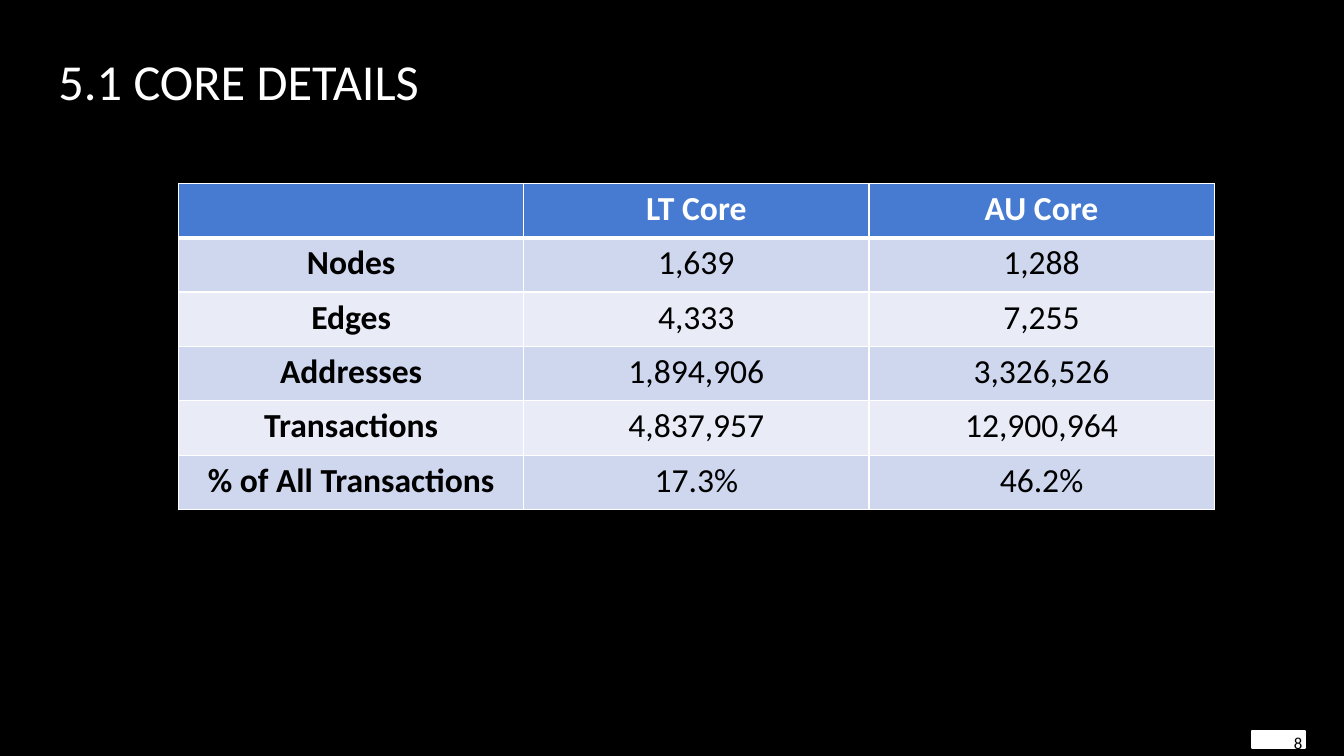
from lxml.etree import SubElement
from pptx import Presentation
from pptx.dml.color import RGBColor
from pptx.enum.shapes import MSO_SHAPE as Shape
from pptx.enum.text import MSO_ANCHOR as Anchor, PP_ALIGN as Align
from pptx.oxml.ns import qn
from pptx.util import Cm, Pt

TITLE = "5.1 CORE DETAILS"
PAGE_NUMBER = "8"
CORE_ROWS = [
    ("", "LT Core", "AU Core"),
    ("Nodes", "1,639", "1,288"),
    ("Edges", "4,333", "7,255"),
    ("Addresses", "1,894,906", "3,326,526"),
    ("Transactions", "4,837,957", "12,900,964"),
    ("% of All Transactions", "17.3%", "46.2%"),
]

FONT = "Calibri"
BLACK = RGBColor(0x00, 0x00, 0x00)
WHITE = RGBColor(0xFF, 0xFF, 0xFF)
HEADER_BLUE = RGBColor(0x47, 0x7B, 0xD1)
DARK_BAND = RGBColor(0xCF, 0xD7, 0xEE)
LIGHT_BAND = RGBColor(0xE9, 0xEC, 0xF7)

COLUMN_WIDTH = Cm(8.7)
ROW_HEIGHT = Cm(1.37)


def format_text(text_frame, size, color, align, bold=False):
    for paragraph in text_frame.paragraphs:
        paragraph.alignment = align
        for run in paragraph.runs:
            run.font.name = FONT
            run.font.size = Pt(size)
            run.font.bold = bold
            run.font.color.rgb = color


def set_borders(cell, bottom_width, top_width):
    properties = cell._tc.get_or_add_tcPr()
    widths = {"a:lnL": 1, "a:lnR": 1, "a:lnT": top_width, "a:lnB": bottom_width}
    for position, (tag, width) in enumerate(widths.items()):
        line = SubElement(properties, qn(tag), w=str(Pt(width)))
        fill = SubElement(line, qn("a:solidFill"))
        SubElement(fill, qn("a:srgbClr"), val=str(WHITE))
        properties.insert(position, line)


def add_title(slide):
    title = slide.shapes.title
    title.left, title.top, title.width, title.height = Cm(1.22), Cm(0), Cm(28.14), Cm(4.04)
    title.text_frame.text = TITLE
    title.text_frame.vertical_anchor = Anchor.MIDDLE
    format_text(title.text_frame, 36, WHITE, Align.LEFT)


def add_page_number(slide):
    plate = slide.shapes.add_shape(Shape.RECTANGLE, Cm(31.55), Cm(18.42), Cm(1.35), Cm(0.43))
    plate.shadow.inherit = False
    plate.fill.solid()
    plate.fill.fore_color.rgb = WHITE
    plate.line.color.rgb = WHITE
    plate.line.width = Pt(1.5)

    number = slide.shapes.add_textbox(Cm(31.55), Cm(18.19), Cm(1.52), Cm(1.04))
    number.text_frame.word_wrap = True
    number.text_frame.vertical_anchor = Anchor.MIDDLE
    number.text_frame.text = PAGE_NUMBER
    format_text(number.text_frame, 12, BLACK, Align.RIGHT)


def add_core_table(slide):
    row_count, column_count = len(CORE_ROWS), len(CORE_ROWS[0])
    table = slide.shapes.add_table(
        row_count, column_count, Cm(4.5), Cm(4.62),
        COLUMN_WIDTH * column_count, ROW_HEIGHT * row_count,
    ).table
    table.first_col = True
    for column in table.columns:
        column.width = COLUMN_WIDTH
    for row_index, values in enumerate(CORE_ROWS):
        table.rows[row_index].height = ROW_HEIGHT
        is_header = row_index == 0
        band = DARK_BAND if row_index % 2 else LIGHT_BAND
        for column_index, value in enumerate(values):
            cell = table.cell(row_index, column_index)
            cell.text_frame.text = value
            cell.fill.solid()
            cell.fill.fore_color.rgb = HEADER_BLUE if is_header else band
            set_borders(cell, 3 if is_header else 1, 3 if row_index == 1 else 1)
            format_text(cell.text_frame, 24, WHITE if is_header else BLACK,
                        Align.CENTER, is_header or column_index == 0)


def main():
    presentation = Presentation()
    presentation.slide_width, presentation.slide_height = Cm(33.87), Cm(19.05)
    slide = presentation.slides.add_slide(presentation.slide_layouts[5])
    slide.background.fill.solid()
    slide.background.fill.fore_color.rgb = BLACK
    add_title(slide)
    add_page_number(slide)
    add_core_table(slide)
    presentation.save("out.pptx")


if __name__ == "__main__":
    main()
